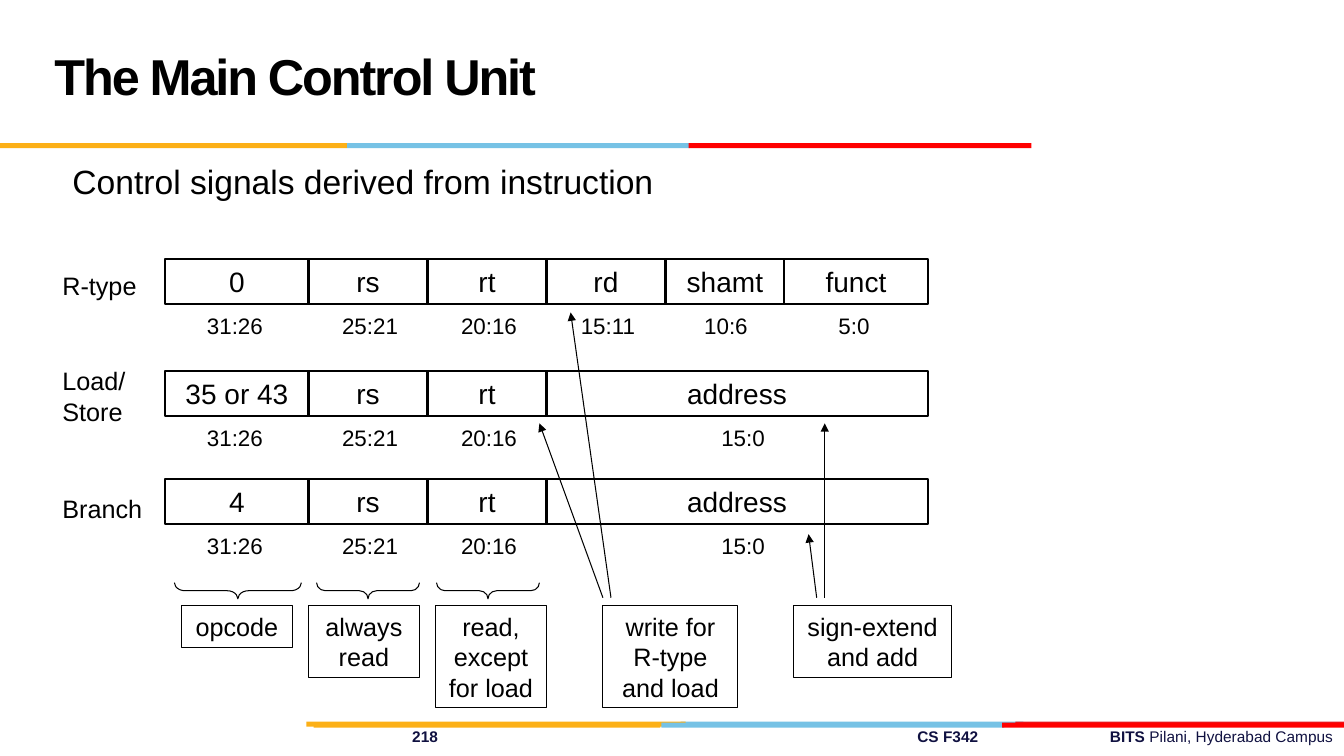
from lxml import etree
from pptx import Presentation
from pptx.dml.color import RGBColor
from pptx.enum import shapes, text
from pptx.oxml import ns
from pptx.util import Inches, Pt

BLACK = RGBColor(0x00, 0x00, 0x00)
NAVY = RGBColor(0x10, 0x11, 0x41)
GOLD = RGBColor(0xFC, 0xB0, 0x17)
BLUE = RGBColor(0x76, 0xC2, 0xE5)
RED = RGBColor(0xFF, 0x00, 0x00)
DARK_RED = RGBColor(0xE3, 0x1C, 0x24)
LEFT, CENTER = text.PP_ALIGN.LEFT, text.PP_ALIGN.CENTER
TOP, MIDDLE = text.MSO_ANCHOR.TOP, text.MSO_ANCHOR.MIDDLE

# Content
TITLE = "The Main Control Unit"
SUBTITLE = "Control signals derived from instruction"
FOOTER = [("218\tCS F342\tBITS ", True), ("Pilani, Hyderabad Campus", False)]
FOOTER_TABS = [5.01, 6.92]

BARS = [  # left, top, width, colour
    (6.75, 7.16, 3.4, BLUE), (10.07, 7.16, 3.26, DARK_RED), (3.04, 7.16, 3.76, GOLD),
    (6.56, 7.17, 3.4, BLUE), (3.11, 7.17, 3.44, GOLD), (9.94, 7.17, 3.39, RED),
    (3.44, 1.42, 3.4, BLUE), (0, 1.42, 3.44, GOLD), (6.83, 1.42, 3.4, RED),
]

# Instruction formats: label, label top, label height, row top, fields
FIELD_LEFT, FIELD_HEIGHT = 1.64, 0.45
WIDE, NARROW, ADDRESS = 1.42, 1.18, 3.78
REGISTERS = [("rs", "25:21", NARROW), ("rt", "20:16", NARROW)]
FORMATS = [
    ("R-type", 2.63, 0.4, 2.57,
     [("0", "31:26", WIDE), *REGISTERS, ("rd", "15:11", NARROW),
      ("shamt", "10:6", NARROW), ("funct", "5:0", WIDE)]),
    ("Load/\vStore", 3.58, 0.7, 3.68,
     [("35 or 43", "31:26", WIDE), *REGISTERS, ("address", "15:0", ADDRESS)]),
    ("Branch", 4.84, 0.4, 4.75,
     [("4", "31:26", WIDE), *REGISTERS, ("address", "15:0", ADDRESS)]),
]
BIT_CENTERS = {"31:26": 2.33, "25:21": 3.67, "20:16": 4.85, "15:11": 6.03,
               "10:6": 7.2, "5:0": 8.47, "15:0": 7.37}

BRACES = [(2.36, 1.26, 0.665), (3.65, 1.02, 0.539), (4.84, 1.02, 0.539)]
CALLOUT_TOP = 6.01
CALLOUTS = [  # text, left, width, height
    ("opcode", 1.8, 1.1, 0.41), ("always read", 3.06, 1.1, 0.71),
    ("read, except for load", 4.32, 1.1, 1.01),
    ("write for R-type and load", 5.98, 1.34, 1.01),
    ("sign-extend and add", 7.87, 1.57, 0.71),
]
ARROW_START = 5.93
ARROWS = [(5.98, 5.35, 4.2), (6.06, 5.66, 3.1), (8.1, 8.02, 5.3), (8.18, 8.18, 4.2)]


def style(span, size, color=BLACK, bold=False):
    span.font.name = "Arial"
    span.font.size = Pt(size)
    span.font.bold = bold
    span.font.color.rgb = color


def write(box, wording, size, align=LEFT, anchor=TOP, wrap=True):
    frame = box.text_frame
    frame.text = wording
    frame.word_wrap = wrap
    frame.vertical_anchor = anchor
    para = frame.paragraphs[0]
    para.alignment = align
    for span in para.runs:
        style(span, size)
    return para


def add_text(slide, left, top, width, height, wording, size, **layout):
    box = slide.shapes.add_textbox(*map(Inches, (left, top, width, height)))
    return write(box, wording, size, **layout)


def add_shape(slide, kind, left, top, width, height, fill=None, line=None):
    shape = slide.shapes.add_shape(kind, *map(Inches, (left, top, width, height)))
    shape.shadow.inherit = False
    if fill is None:
        shape.fill.background()
    else:
        shape.fill.solid()
        shape.fill.fore_color.rgb = fill
    if line is None:
        shape.line.fill.background()
    else:
        shape.line.color.rgb = BLACK
        shape.line.width = Pt(line)
    return shape


def add_arrow(slide, x1, y1, x2, y2):
    arrow = slide.shapes.add_connector(
        shapes.MSO_CONNECTOR.STRAIGHT, *map(Inches, (x1, y1, x2, y2)))
    arrow.line.color.rgb = BLACK
    arrow.line.width = Pt(0.75)
    etree.SubElement(arrow.line._get_or_add_ln(), ns.qn("a:tailEnd"), type="triangle")
    etree.SubElement(arrow._element.spPr, ns.qn("a:effectLst"))


def add_footer(slide):
    box = slide.shapes.add_textbox(*map(Inches, (3.99, 7.16, 9.34, 0.29)))
    box.text_frame.word_wrap = True
    para = box.text_frame.paragraphs[0]
    stops = etree.SubElement(para._p.get_or_add_pPr(), ns.qn("a:tabLst"))
    for position in FOOTER_TABS:
        etree.SubElement(stops, ns.qn("a:tab"), pos=str(Inches(position)), algn="l")
    for wording, bold in FOOTER:
        span = para.add_run()
        span.text = wording
        style(span, 11, NAVY, bold)


def main():
    deck = Presentation()
    deck.slide_width, deck.slide_height = Inches(13.33), Inches(7.5)
    slide = deck.slides.add_slide(deck.slide_layouts[5])
    rect = shapes.MSO_SHAPE.RECTANGLE

    # Footer and coloured bars
    add_footer(slide)
    for left, top, width, color in BARS:
        add_shape(slide, rect, left, top, width, 0.05, fill=color)

    # Title and subtitle
    title = slide.shapes.title
    title.left, title.top = Inches(0.44), Inches(0.17)
    title.width, title.height = Inches(9.22), Inches(1.25)
    para = write(title, TITLE, 36, anchor=MIDDLE)
    para.line_spacing = Pt(36)
    para.runs[0].font._element.set("spc", "-150")
    add_text(slide, 0.62, 1.55, 9.05, 0.76, SUBTITLE, 24)
    para.runs[0].font.bold = True

    # Instruction formats with their bit ranges
    for label, label_top, label_height, top, fields in FORMATS:
        left = FIELD_LEFT
        for name, bits, width in fields:
            field = add_shape(slide, rect, left, top, width, FIELD_HEIGHT, line=1.5)
            write(field, name, 20, align=CENTER, anchor=MIDDLE)
            add_text(slide, BIT_CENTERS[bits] - 0.38, top + 0.48, 0.76, 0.37,
                     bits, 16, align=CENTER, wrap=False)
            left += width
        add_text(slide, 0.52, label_top, 0.99, label_height, label, 18, wrap=False)

    # Braces, turned to open upwards
    for center, length, curve in BRACES:
        brace = add_shape(slide, shapes.MSO_SHAPE.LEFT_BRACE, center - 0.08,
                          5.86 - length / 2, 0.16, length, line=0.75)
        brace.adjustments[0] = curve
        brace.rotation = 270

    # Callouts and arrows
    for wording, left, width, height in CALLOUTS:
        callout = add_shape(slide, rect, left, CALLOUT_TOP, width, height, line=0.75)
        write(callout, wording, 18, align=CENTER, anchor=MIDDLE)
    for start, end, end_top in ARROWS:
        add_arrow(slide, start, ARROW_START, end, end_top)

    deck.save("out.pptx")


if __name__ == "__main__":
    main()
